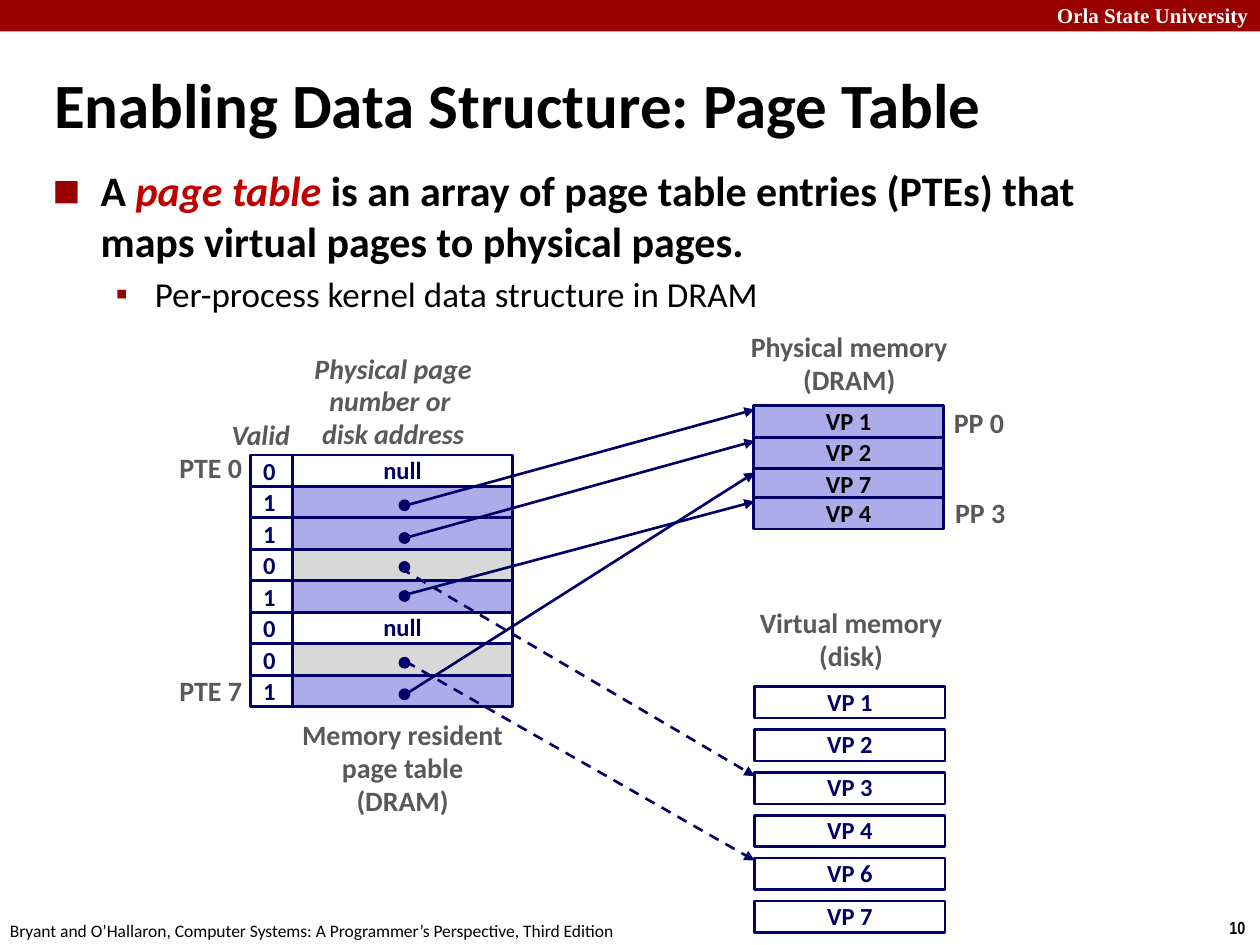
from lxml.etree import SubElement
from pptx import Presentation
from pptx.dml.color import RGBColor
from pptx.enum.dml import MSO_LINE_DASH_STYLE as DASH
from pptx.enum.shapes import MSO_CONNECTOR, MSO_SHAPE as SHAPE
from pptx.enum.text import MSO_ANCHOR as ANCHOR, PP_ALIGN as ALIGN
from pptx.oxml.ns import qn
from pptx.util import Inches, Pt

NAVY, LILAC, SILVER, WHITE, BLACK = "000066", "ACACEA", "D8D8D8", "FFFFFF", "000000"
RED, CRIMSON, GRAY = "990000", "C00000", "595959"
ROW_H, TABLE_TOP, VALID_X, ADDRESS_X = 0.25, 3.61, 1.99, 2.32
MEMORY_W, DOT_X, DOT_D, ARROW_X = 1.51, 3.17, 0.08, 5.99

TITLE = "Enabling Data Structure: Page Table"
BODY = [
    (0.38, -0.38, "■", 110, 0, 24, [
        ("A ", BLACK, True, False),
        ("page table ", CRIMSON, True, True),
        ("is an array of page table entries (PTEs) that maps virtual pages to physical pages.",
         BLACK, True, False)]),
    (0.81, -0.31, "▪", 100, 4, 20, [
        ("Per-process kernel data structure in DRAM", BLACK, False, False)]),
]
PTES = [("0", WHITE, "null"), ("1", LILAC, ""), ("1", LILAC, ""), ("0", SILVER, ""),
        ("1", LILAC, ""), ("0", WHITE, "null"), ("0", SILVER, ""), ("1", LILAC, "")]
PHYSICAL = [("VP 1", 3.22), ("VP 2", 3.47), ("VP 7", 3.72), ("VP 4", 3.95)]
VIRTUAL = ["VP 1", "VP 2", "VP 3", "VP 4", "VP 6", "VP 7"]
DOT_TOPS = [3.97, 4.23, 4.46, 4.69, 5.22, 5.47]
ARROWS = [
    (3.19, 4.02, 3.25, False), (3.25, 4.26, 3.5, False), (3.18, 4.51, 6.16, True),
    (3.22, 4.72, 3.98, False), (3.22, 5.25, 6.83, True), (3.22, 5.51, 3.75, False),
]
LABELS = [
    (["Physical page", "number or ", "disk address"], 2.39, 2.75, 1.46, 0.89, ALIGN.CENTER, True),
    (["Valid"], 1.74, 3.28, 0.75, 0.37, ALIGN.LEFT, True),
    (["PTE 0"], 1.32, 3.54, 0.7, 0.37, ALIGN.RIGHT, False),
    (["PTE 7"], 1.32, 5.31, 0.7, 0.37, ALIGN.RIGHT, False),
    (["PP 0"], 7.47, 3.18, 0.6, 0.37, ALIGN.CENTER, False),
    (["PP 3"], 7.48, 3.9, 0.6, 0.37, ALIGN.CENTER, False),
    (["Memory resident", "page table", "(DRAM)"], 2.27, 5.66, 1.85, 0.89, ALIGN.CENTER, False),
    (["Physical memory", "(DRAM)"], 5.85, 2.58, 1.78, 0.63, ALIGN.CENTER, False),
    (["Virtual memory", "(disk)"], 5.91, 4.77, 1.69, 0.63, ALIGN.CENTER, False),
]
FURNITURE = [
    ("Orla State University", 8.29, -0.03, 1.78, 0.3, 12, WHITE, True, "Times New Roman"),
    ("10", 9.66, 7.23, 0.34, 0.27, 10, BLACK, True, "Arial Narrow"),
    ("Bryant and O’Hallaron, Computer Systems: A Programmer’s Perspective, Third Edition",
     -0.02, 7.25, 5.08, 0.27, 10, BLACK, False, "Calibri"),
]


def rgb(color):
    return RGBColor.from_string(color)


def add_run(p, text, size, color, bold=True, italic=False, font="Calibri"):
    r = p.add_run()
    r.text = text
    r.font.size, r.font.name = Pt(size), font
    r.font.bold, r.font.italic = bold, italic
    r.font.color.rgb = rgb(color)


def write(tf, lines, size, color, align=ALIGN.CENTER, spacing=0.98, **style):
    for i, line in enumerate(lines):
        p = tf.add_paragraph() if i else tf.paragraphs[0]
        p.alignment, p.line_spacing = align, spacing
        add_run(p, line, size, color, **style)


def indent(p, margin, first):
    pPr = p._p.get_or_add_pPr()
    pPr.set("marL", str(Inches(margin)))
    pPr.set("indent", str(Inches(first)))
    return pPr


def add_bullet(pPr, char, percent, color):
    SubElement(SubElement(pPr, qn("a:buClr")), qn("a:srgbClr"), val=color)
    SubElement(pPr, qn("a:buSzPct"), val=str(percent * 1000))
    SubElement(pPr, qn("a:buFont"), typeface="Arial")
    SubElement(pPr, qn("a:buChar"), char=char)


def add_text(slide, x, y, w, h, wrap=False):
    tf = slide.shapes.add_textbox(*map(Inches, (x, y, w, h))).text_frame
    tf.word_wrap = wrap
    return tf


def add_box(slide, x, y, w, h, fill=None, line=NAVY, width=1.5, text="",
            color=NAVY, kind=SHAPE.RECTANGLE):
    sp = slide.shapes.add_shape(kind, *map(Inches, (x, y, w, h)))
    sp.shadow.inherit = False
    if fill:
        sp.fill.solid()
        sp.fill.fore_color.rgb = rgb(fill)
    else:
        sp.fill.background()
    if line:
        sp.line.color.rgb = rgb(line)
        sp.line.width = Pt(width)
    else:
        sp.line.fill.background()
    if text:
        sp.text_frame.vertical_anchor = ANCHOR.MIDDLE
        write(sp.text_frame, [text], 14, color)


def add_arrow(slide, x, y, end_y, dashed):
    line = slide.shapes.add_connector(
        MSO_CONNECTOR.STRAIGHT, *map(Inches, (x, y, ARROW_X, end_y)))
    line.line.color.rgb = rgb(NAVY)
    line.line.width = Pt(1.5)
    if dashed:
        line.line.dash_style = DASH.DASH
    SubElement(line.line._get_or_add_ln(), qn("a:tailEnd"), type="triangle")
    SubElement(line._element.spPr, qn("a:effectLst"))


def add_heading(slide):
    title = slide.shapes.title
    title.left, title.top, title.width, title.height = map(Inches, (0.33, 0.39, 9.06, 0.86))
    title.text_frame.vertical_anchor = ANCHOR.MIDDLE
    write(title.text_frame, [TITLE], 36, BLACK, ALIGN.LEFT, 1.0)
    indent(title.text_frame.paragraphs[0], 0.13, -0.13)

    tf = add_text(slide, 0.32, 1.26, 9.09, 1.41, wrap=True)
    for i, (margin, first, char, percent, before, size, runs) in enumerate(BODY):
        p = tf.add_paragraph() if i else tf.paragraphs[0]
        p.level, p.space_before = i, Pt(before)
        add_bullet(indent(p, margin, first), char, percent, RED)
        for text, color, bold, italic in runs:
            add_run(p, text, size, color, bold, italic)


def main():
    """Build the page table slide."""
    prs = Presentation()
    prs.slide_width, prs.slide_height = Inches(10), Inches(7.5)
    slide = prs.slides.add_slide(prs.slide_layouts[5])

    add_box(slide, 0, 0, 10, 0.25, RED, line=None)
    for text, x, y, w, h, size, color, bold, font in FURNITURE:
        write(add_text(slide, x, y, w, h), [text], size, color, ALIGN.LEFT, 1.0,
              bold=bold, font=font)
    add_heading(slide)

    for i, (valid, fill, address) in enumerate(PTES):
        y = TABLE_TOP + i * ROW_H
        add_box(slide, ADDRESS_X, y, 1.75, ROW_H, fill, text=address)
        add_box(slide, VALID_X, y, 0.33, ROW_H)
        write(add_text(slide, VALID_X, y - 0.03, 0.31, 0.33), [valid], 14, NAVY, ALIGN.LEFT)
    for text, y in PHYSICAL:
        add_box(slide, 5.98, y, MEMORY_W, ROW_H, LILAC, text=text, color=BLACK)
    for i, text in enumerate(VIRTUAL):
        add_box(slide, 5.99, 5.45 + i * 0.34, MEMORY_W, ROW_H, WHITE, text=text)

    for lines, x, y, w, h, align, italic in LABELS:
        write(add_text(slide, x, y, w, h), lines, 16, GRAY, align, italic=italic)
    for y in DOT_TOPS:
        add_box(slide, DOT_X, y, DOT_D, DOT_D, NAVY, width=1, kind=SHAPE.OVAL)
    for arrow in ARROWS:
        add_arrow(slide, *arrow)

    prs.save("out.pptx")


if __name__ == "__main__":
    main()
